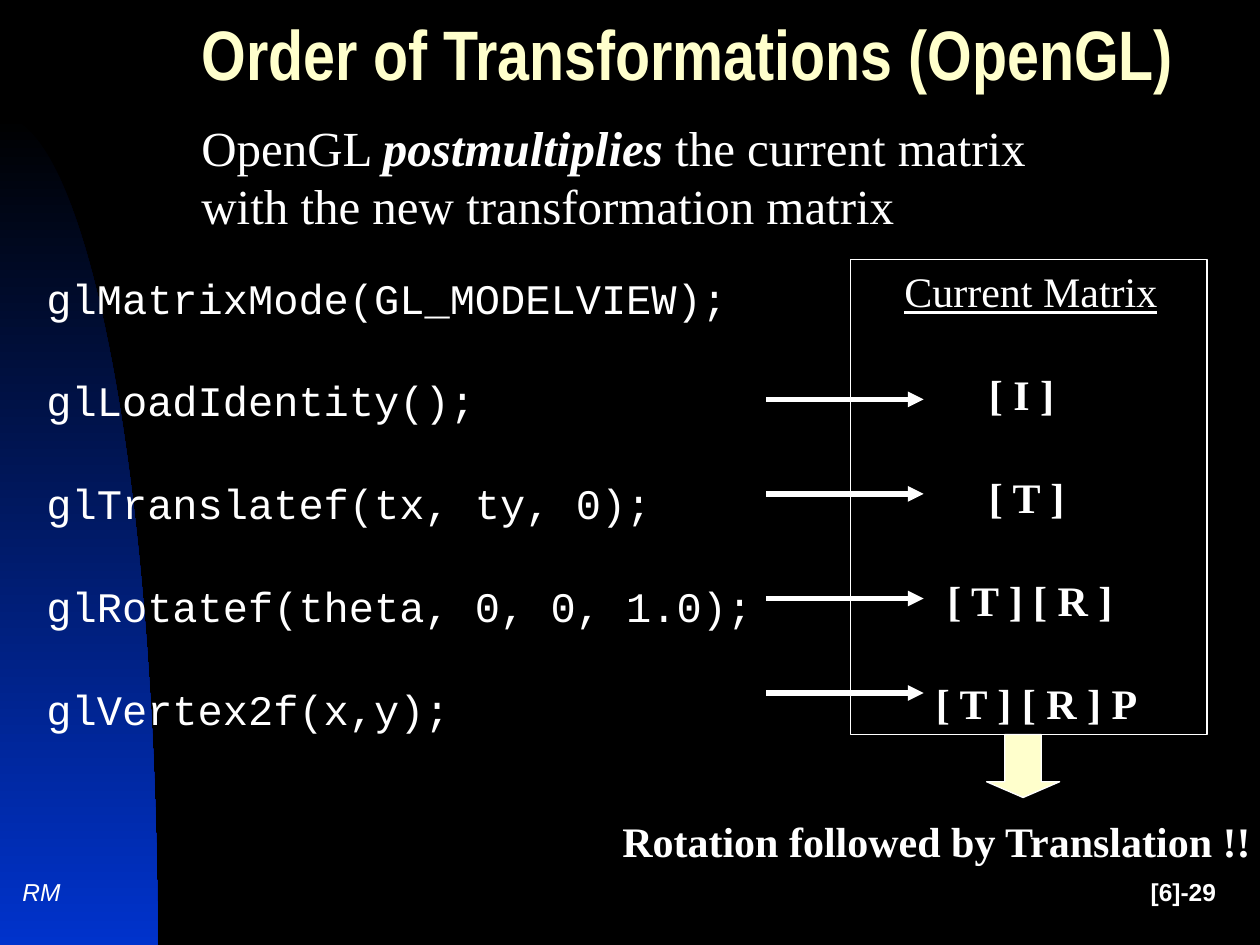
import math

import pptx
import pptx.dml.color
import pptx.enum.shapes
import pptx.enum.text
import pptx.oxml
import pptx.oxml.ns
import pptx.util

Inches = pptx.util.Inches
Pt = pptx.util.Pt
RGBColor = pptx.dml.color.RGBColor
ALIGN = pptx.enum.text.PP_ALIGN
ANCHOR = pptx.enum.text.MSO_ANCHOR
SHAPE = pptx.enum.shapes.MSO_SHAPE

BLACK = RGBColor(0x00, 0x00, 0x00)
WHITE = RGBColor(0xFF, 0xFF, 0xFF)
CREAM = RGBColor(0xFF, 0xFF, 0xCC)
BLUE = RGBColor(0x00, 0x33, 0xCC)

SERIF = "Times New Roman"
SANS = "Arial"
TITLE_FONT = "Arial Narrow"
CODE_FONT = "Courier New"

CODE_LINES = [
    "glMatrixMode(GL_MODELVIEW);",
    "glLoadIdentity();",
    "glTranslatef(tx, ty, 0);",
    "glRotatef(theta, 0, 0, 1.0);",
    "glVertex2f(x,y);",
]
# Text and left indent in inches
MATRIX_LINES = [
    ("Current Matrix", 0.33),
    ("[ I ]", 1),
    ("[ T ]", 1),
    ("[ T ] [ R ]", 0.67),
    ("[ T ] [ R ] P", 0.58),
]
ARROW_HEIGHTS = [3.17, 3.92, 4.75, 5.5]


class SlideBuilder:
    def __init__(self, slide):
        self.slide = slide
        slide.background.fill.solid()
        slide.background.fill.fore_color.rgb = BLACK

    def format_runs(self, paragraph, size, font=SERIF, color=WHITE, **styles):
        for run in paragraph.runs:
            run.font.size = Pt(size)
            run.font.name = font
            run.font.color.rgb = color
            for name, value in styles.items():
                setattr(run.font, name, value)

    def title(self, text, left, top, width, height):
        title = self.slide.shapes.title
        title.left, title.top = Inches(left), Inches(top)
        title.width, title.height = Inches(width), Inches(height)
        frame = title.text_frame
        frame.text = text
        frame.auto_size = pptx.enum.text.MSO_AUTO_SIZE.NONE
        frame.vertical_anchor = ANCHOR.MIDDLE
        paragraph = frame.paragraphs[0]
        paragraph.alignment = ALIGN.LEFT
        paragraph.line_spacing = 0.7
        self.format_runs(paragraph, 40, TITLE_FONT, CREAM, bold=True)

    def text(self, text, left, top, width, height, size, font=SERIF, wrap=True,
             anchor=ANCHOR.TOP, align=ALIGN.LEFT, space_before=0, **styles):
        box = self.slide.shapes.add_textbox(
            Inches(left), Inches(top), Inches(width), Inches(height))
        frame = box.text_frame
        frame.word_wrap = wrap
        frame.vertical_anchor = anchor
        frame.text = text
        for paragraph in frame.paragraphs:
            paragraph.alignment = align
            paragraph.space_before = Pt(space_before)
            self.format_runs(paragraph, size, font, **styles)
        return frame

    def shape(self, kind, left, top, width, height, fill=None):
        shape = self.slide.shapes.add_shape(
            kind, Inches(left), Inches(top), Inches(width), Inches(height))
        shape.shadow.inherit = False
        if fill is None:
            shape.fill.background()
        else:
            shape.fill.solid()
            shape.fill.fore_color.rgb = fill
        shape.line.color.rgb = WHITE
        shape.line.width = Pt(0.75)
        return shape

    def matrix_box(self, lines, left, top, width, height):
        frame = self.shape(SHAPE.RECTANGLE, left, top, width, height).text_frame
        frame.word_wrap = True
        frame.vertical_anchor = ANCHOR.TOP
        frame.text = "\n".join(text for text, indent in lines)
        for index, (text, indent) in enumerate(lines):
            paragraph = frame.paragraphs[index]
            paragraph.alignment = ALIGN.LEFT
            paragraph.space_before = Pt(30)
            paragraph._p.get_or_add_pPr().set("marL", str(Inches(indent)))
            heading = index == 0
            self.format_runs(paragraph, 24, underline=heading, bold=not heading)

    def arrow(self, left, right, y):
        connector = self.slide.shapes.add_connector(
            pptx.enum.shapes.MSO_CONNECTOR.STRAIGHT,
            Inches(left), Inches(y), Inches(right), Inches(y))
        connector.line.color.rgb = WHITE
        connector.line.width = Pt(3)
        head = pptx.oxml.ns.qn("a:tailEnd")
        line = connector.line._get_or_add_ln()
        line.append(line.makeelement(head, {"type": "triangle"}))
        properties = connector._element.spPr
        properties.append(
            properties.makeelement(pptx.oxml.ns.qn("a:effectLst"), {}))

    def quarter_ellipse(self, width, top, bottom, steps=60):
        """Gradient panel at the left edge, bounded by an elliptical arc."""
        angles = [math.pi / 2 * step / steps for step in range(steps + 1)]
        points = [(Inches(width * math.sin(angle)),
                   Inches(bottom - (bottom - top) * math.cos(angle)))
                  for angle in angles]
        builder = self.slide.shapes.build_freeform(0, Inches(top))
        builder.add_line_segments(points[1:] + [(0, Inches(bottom))], close=True)
        panel = builder.convert_to_shape()
        panel.shadow.inherit = False
        panel.line.fill.background()
        panel.fill.gradient()
        panel.fill.gradient_angle = 270
        for stop, color, position in zip(
                panel.fill.gradient_stops, (BLACK, BLUE), (0, 1)):
            stop.color.rgb = color
            stop.position = position


def main():
    presentation = pptx.Presentation()
    presentation.slide_width = Inches(10)
    presentation.slide_height = Inches(7.5)
    title_only = presentation.slide_layouts[5]
    builder = SlideBuilder(presentation.slides.add_slide(title_only))

    builder.quarter_ellipse(1.25, 0.92, 7.5)
    builder.title("Order of Transformations (OpenGL)", 1.5, 0, 8.25, 1)
    builder.text("[6]-29", 7.67, 6.83, 2.08, 0.5, 14, SANS,
                 anchor=ANCHOR.MIDDLE, align=ALIGN.RIGHT, bold=True)
    builder.text("RM", 0.08, 6.83, 0.58, 0.5, 14, SANS,
                 anchor=ANCHOR.MIDDLE, italic=True)

    statement = builder.text("OpenGL ", 1.5, 0.88, 7.17, 1.04, 28).paragraphs[0]
    emphasis = statement.add_run()
    emphasis.text = "postmultiplies "
    statement.add_run().text = (
        "the current matrix with the new transformation matrix")
    builder.format_runs(statement, 28)
    emphasis.font.bold = emphasis.font.italic = True

    builder.text("\n".join(CODE_LINES), 0.27, 2.11, 5.88, 3.77, 24, CODE_FONT,
                 space_before=30)
    builder.text("Rotation followed by Translation !!",
                 4.84, 6.42, 5.22, 0.5, 24, wrap=False, bold=True)

    builder.matrix_box(MATRIX_LINES, 6.75, 2.06, 2.83, 3.77)
    for y in ARROW_HEIGHTS:
        builder.arrow(6.08, 7.33, y)
    builder.shape(SHAPE.DOWN_ARROW, 7.83, 5.83, 0.58, 0.5, CREAM).adjustments[1] = 0.25

    presentation.save("out.pptx")


if __name__ == "__main__":
    main()
